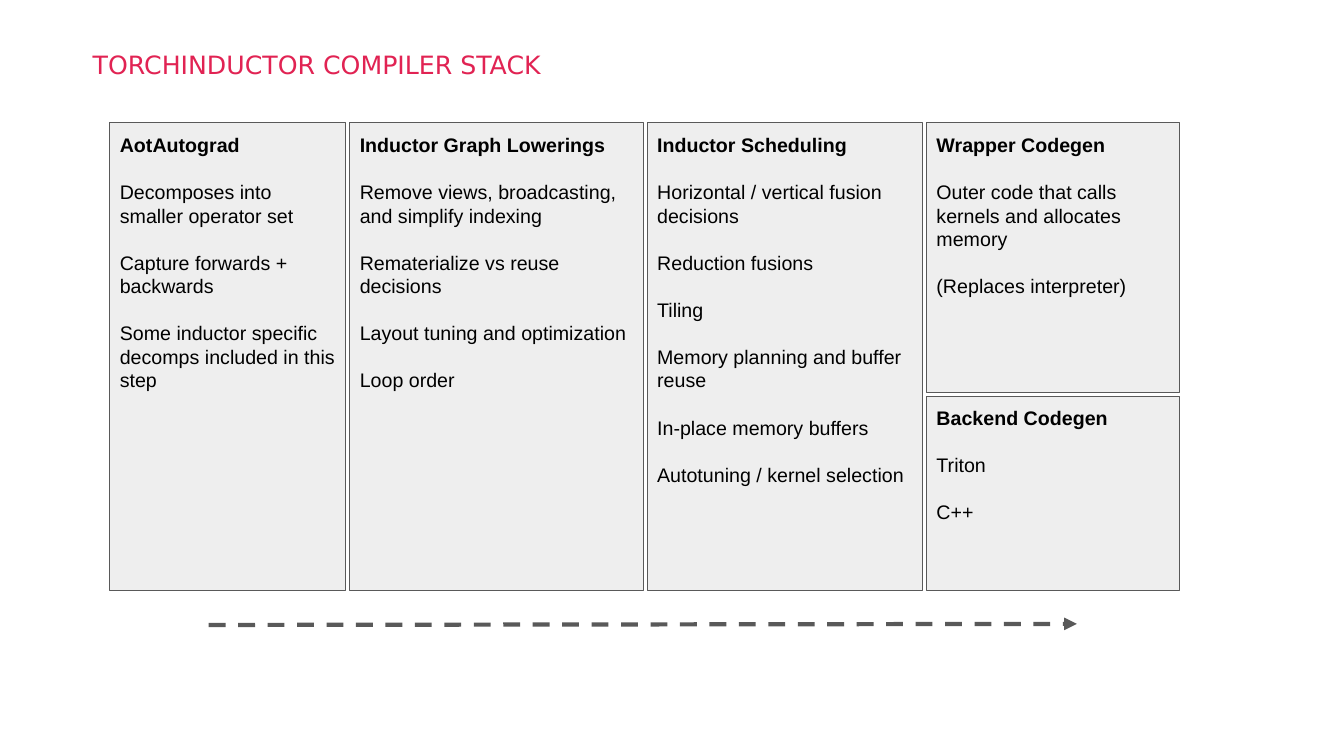
import pptx
import pptx.util
import pptx.dml.color
import pptx.enum.dml
import pptx.enum.shapes
import pptx.enum.text
import pptx.oxml.ns
import lxml.etree

CRIMSON = pptx.dml.color.RGBColor(0xE1, 0x23, 0x53)
PANEL = pptx.dml.color.RGBColor(0xEE, 0xEE, 0xEE)
GRAY = pptx.dml.color.RGBColor(0x59, 0x59, 0x59)
BLACK = pptx.dml.color.RGBColor(0, 0, 0)

deck = pptx.Presentation()
deck.slide_width = pptx.util.Inches(13.33)
deck.slide_height = pptx.util.Inches(7.5)
page = deck.slides.add_slide(deck.slide_layouts[6])


def across(percent):
    return round(deck.slide_width * percent / 100)


def down(percent):
    return round(deck.slide_height * percent / 100)


title = page.shapes.add_textbox(across(6.9), down(6.53), across(45), down(4))
frame = title.text_frame
frame.word_wrap = True
frame.margin_left = frame.margin_right = frame.margin_top = frame.margin_bottom = 0
span = frame.paragraphs[0].add_run()
span.text = "TORCHINDUCTOR COMPILER STACK"
span.font.name = "DejaVu Sans"
span.font.size = pptx.util.Pt(18)
span.font.color.rgb = CRIMSON

FULL_HEIGHT = 61.87
ROW_GAP = 0.53
COLUMN_GAP = 0.3
WRAPPER_HEIGHT = 35.6
BACKEND_HEIGHT = FULL_HEIGHT - ROW_GAP - WRAPPER_HEIGHT

columns = [
    (17.55, [(FULL_HEIGHT, "AotAutograd", [
        "Decomposes into smaller operator set",
        "Capture forwards + backwards",
        "Some inductor specific decomps included in this step",
    ])]),
    (21.83, [(FULL_HEIGHT, "Inductor Graph Lowerings", [
        "Remove views, broadcasting, and simplify indexing",
        "Rematerialize vs reuse decisions",
        "Layout tuning and optimization",
        "Loop order",
    ])]),
    (20.48, [(FULL_HEIGHT, "Inductor Scheduling", [
        "Horizontal / vertical fusion decisions",
        "Reduction fusions",
        "Tiling",
        "Memory planning and buffer reuse",
        "In-place memory buffers",
        "Autotuning / kernel selection",
    ])]),
    (18.83, [
        (WRAPPER_HEIGHT, "Wrapper Codegen", [
            "Outer code that calls kernels and allocates memory",
            "(Replaces interpreter)",
        ]),
        (BACKEND_HEIGHT, "Backend Codegen", ["Triton", "C++"]),
    ]),
]

left = 8.18
for width, stages in columns:
    top = 16.27
    for height, heading, steps in stages:
        box = page.shapes.add_shape(
            pptx.enum.shapes.MSO_SHAPE.RECTANGLE,
            across(left), down(top), across(width), down(height))
        box.shadow.inherit = False
        box.fill.solid()
        box.fill.fore_color.rgb = PANEL
        box.line.color.rgb = GRAY
        box.line.width = pptx.util.Pt(0.75)
        frame = box.text_frame
        frame.word_wrap = True
        frame.vertical_anchor = pptx.enum.text.MSO_ANCHOR.TOP
        frame.margin_left = frame.margin_right = pptx.util.Inches(0.1)
        frame.margin_top = frame.margin_bottom = pptx.util.Inches(0.1)
        for index, wording in enumerate([heading] + steps):
            para = frame.add_paragraph() if index else frame.paragraphs[0]
            para.alignment = pptx.enum.text.PP_ALIGN.LEFT
            if index:
                para.space_before = pptx.util.Pt(16.8)
            span = para.add_run()
            span.text = wording
            span.font.name = "Arial"
            span.font.size = pptx.util.Pt(14)
            span.font.bold = index == 0
            span.font.color.rgb = BLACK
        top += height + ROW_GAP
    left += width + COLUMN_GAP

arrow = page.shapes.add_connector(
    pptx.enum.shapes.MSO_CONNECTOR.STRAIGHT,
    across(15.53), down(82.67), across(80.12), down(82.53))
arrow.line.color.rgb = GRAY
arrow.line.width = pptx.util.Pt(3)
arrow.line.dash_style = pptx.enum.dml.MSO_LINE.DASH
stroke = arrow.line._get_or_add_ln()
lxml.etree.SubElement(stroke, pptx.oxml.ns.qn("a:tailEnd"), type="triangle")
lxml.etree.SubElement(arrow._element.spPr, pptx.oxml.ns.qn("a:effectLst"))

deck.save("out.pptx")
